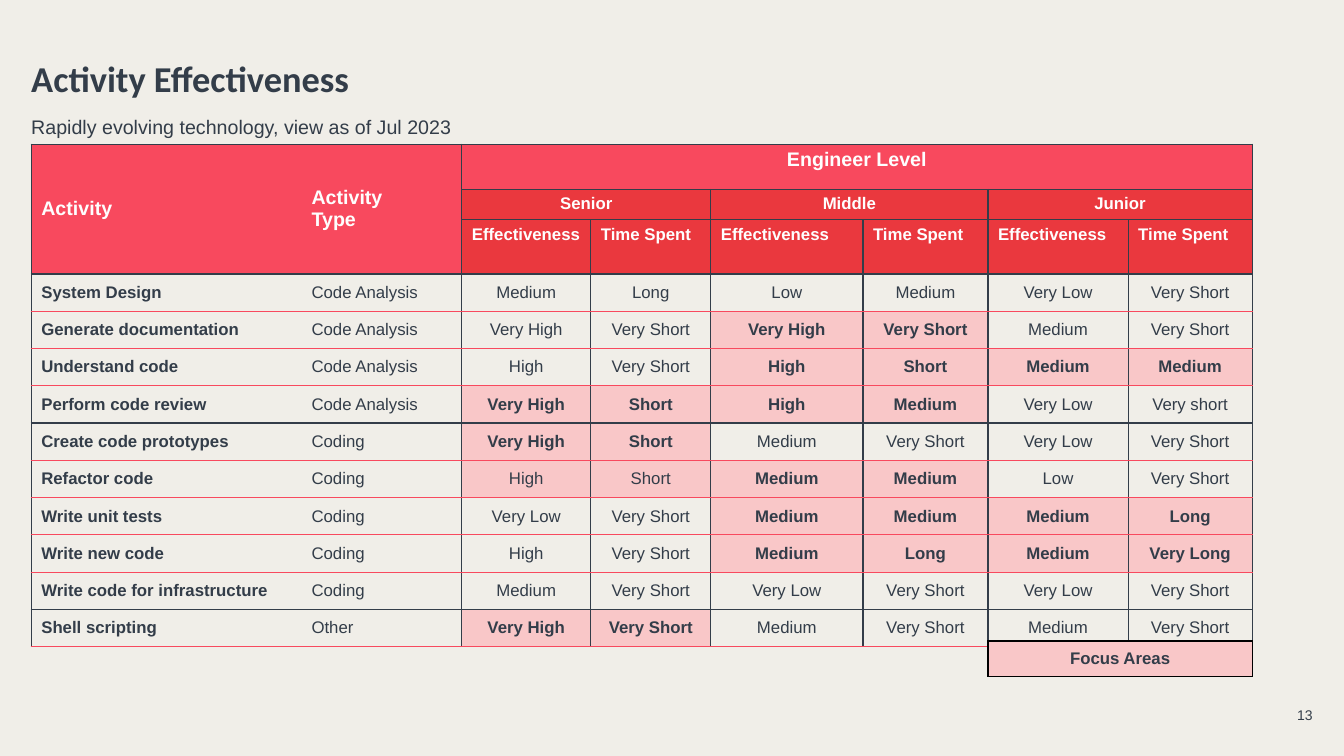
from lxml import etree
from pptx import Presentation, util as u
from pptx.dml.color import RGBColor
from pptx.enum import text
from pptx.oxml import ns

INK = RGBColor(0x33, 0x3D, 0x49)
PAPER = RGBColor(0xF0, 0xEE, 0xE8)
WHITE = RGBColor(0xFE, 0xFE, 0xFE)
CORAL = RGBColor(0xF8, 0x49, 0x5E)
RED = RGBColor(0xEA, 0x38, 0x3E)
FOCUS = RGBColor(0xF9, 0xC7, 0xC8)
BLACK = RGBColor(0, 0, 0)

LEFT = 0.31
COLUMNS = [2.68, 1.59, 1.28, 1.19, 1.51, 1.24, 1.39, 1.23]
HEADER_ROWS = [0.45, 0.3, 0.3]
BODY_ROW = 0.37
PLAIN_STYLE = "{2D5ABB26-0587-4C30-8999-92F81FD0307C}"
START = text.PP_ALIGN.LEFT
CENTER = text.PP_ALIGN.CENTER
TOP = text.MSO_ANCHOR.TOP
MIDDLE = text.MSO_ANCHOR.MIDDLE
DARK_RULES = {"Perform code review", "Write code for infrastructure"}

# "*" marks a focus cell, "+" a focus cell in regular weight
ACTIVITIES = [
    ("System Design", "Code Analysis", "Medium", "Long", "Low", "Medium", "Very Low", "Very Short"),
    ("Generate documentation", "Code Analysis", "Very High", "Very Short", "*Very High", "*Very Short",
     "Medium", "Very Short"),
    ("Understand code", "Code Analysis", "High", "Very Short", "*High", "*Short", "*Medium", "*Medium"),
    ("Perform code review", "Code Analysis", "*Very High", "*Short", "*High", "*Medium",
     "Very Low", "Very short"),
    ("Create code prototypes", "Coding", "*Very High", "*Short", "Medium", "Very Short",
     "Very Low", "Very Short"),
    ("Refactor code", "Coding", "+High", "+Short", "*Medium", "*Medium", "Low", "Very Short"),
    ("Write unit tests", "Coding", "Very Low", "Very Short", "*Medium", "*Medium", "*Medium", "*Long"),
    ("Write new code", "Coding", "High", "Very Short", "*Medium", "*Long", "*Medium", "*Very Long"),
    ("Write code for infrastructure", "Coding", "Medium", "Very Short", "Very Low", "Very Short",
     "Very Low", "Very Short"),
    ("Shell scripting", "Other", "*Very High", "*Very Short", "Medium", "Very Short",
     "Medium", "Very Short"),
]


def write(frame, lines, size, color=INK, bold=False, align=START, font="Arial"):
    """Fill a text frame with one paragraph per line."""
    for index, line in enumerate(lines):
        paragraph = frame.add_paragraph() if index else frame.paragraphs[0]
        paragraph.alignment = align
        run = paragraph.add_run()
        run.text = line
        run.font.name, run.font.size, run.font.bold = font, u.Pt(size), bold
        run.font.color.rgb = color


def place(shape, left, top, width, height, anchor, wrap=True):
    """Position a text shape and clear its margins."""
    shape.left, shape.top, shape.width, shape.height = map(u.Inches, (left, top, width, height))
    frame = shape.text_frame
    frame.margin_left = frame.margin_right = frame.margin_top = frame.margin_bottom = 0
    frame.vertical_anchor, frame.word_wrap = anchor, wrap
    frame.auto_size = text.MSO_AUTO_SIZE.NONE
    return frame


def add_label(slide, box, words, size, anchor=TOP, align=START, wrap=True):
    """Add a plain text box."""
    shape = slide.shapes.add_textbox(0, 0, 0, 0)
    write(place(shape, *box, anchor, wrap), [words], size, align=align)


def add_border(cell, edge, color, points):
    """Draw one edge of a cell: L, R, T or B."""
    line = etree.SubElement(cell._tc.get_or_add_tcPr(), ns.qn(f"a:ln{edge}"), w=str(u.Pt(points)))
    fill = etree.SubElement(line, ns.qn("a:solidFill"))
    etree.SubElement(fill, ns.qn("a:srgbClr"), val=str(color))


def format_cell(cell, lines, size, fill, borders, anchor=MIDDLE, **style):
    """Set the borders, fill and text of a cell."""
    for edge, (color, points) in borders.items():
        add_border(cell, edge, color, points)
    if fill is None:
        cell.fill.background()
    else:
        cell.fill.solid()
        cell.fill.fore_color.rgb = fill
    cell.vertical_anchor = anchor
    write(cell.text_frame, lines, size, **style)


def add_grid(slide, left, top, columns, rows):
    """Add an unstyled table with the given column widths and row heights."""
    frame = slide.shapes.add_table(len(rows), len(columns), *map(
        u.Inches, (left, top, sum(columns), sum(rows))))
    table = frame.table
    table._tbl.tblPr.find(ns.qn("a:tableStyleId")).text = PLAIN_STYLE
    table.first_row = table.horz_banding = False
    for column, width in zip(table.columns, columns):
        column.width = u.Inches(width)
    for row, height in zip(table.rows, rows):
        row.height = u.Inches(height)
    return table


def side_borders(column):
    """Return the vertical rules of a column; the first two share no rule."""
    edges = {0: "L", 1: "R"}.get(column, "LR")
    return {edge: (INK, 1) for edge in edges}


def fill_header(table):
    """Write the three header rows with their merged cells."""
    def head(row, column, lines, size, fill, rows=1, columns=1, **style):
        cell = table.cell(row, column)
        if rows * columns > 1:
            cell.merge(table.cell(row + rows - 1, column + columns - 1))
        borders = {**side_borders(column), "T": (INK, 1), "B": (INK, 1)}
        format_cell(cell, lines, size, fill, borders, color=WHITE, bold=True, **style)

    head(0, 0, ["Activity"], 14, CORAL, rows=3)
    head(0, 1, ["Activity", "Type"], 14, CORAL, rows=3)
    head(0, 2, ["Engineer Level"], 14, CORAL, columns=6, anchor=TOP, align=CENTER)
    for index, level in enumerate(["Senior", "Middle", "Junior"]):
        first = 2 + 2 * index
        head(1, first, [level], 12, RED, columns=2, anchor=TOP, align=CENTER)
        for offset, measure in enumerate(["Effectiveness", "Time Spent"]):
            head(2, first + offset, [measure], 12, RED, anchor=TOP)


def fill_body(table):
    """Write the activity rows and shade their focus cells."""
    above = (INK, 1)
    for row, activity in enumerate(ACTIVITIES, len(HEADER_ROWS)):
        below = (INK, 1) if activity[0] in DARK_RULES else (CORAL, 0.5)
        for column, value in enumerate(activity):
            borders = {**side_borders(column), "T": above, "B": below}
            fill = FOCUS if value[0] in "*+" else None
            format_cell(table.cell(row, column), [value.lstrip("*+")], 12, fill, borders,
                        bold=column == 0 or value[0] == "*",
                        align=START if column < 2 else CENTER)
        above = below


def main():
    """Build the slide and save it."""
    presentation = Presentation()
    presentation.slide_width, presentation.slide_height = u.Inches(13.33), u.Inches(7.5)
    slide = presentation.slides.add_slide(presentation.slide_layouts[5])
    slide.background.fill.solid()
    slide.background.fill.fore_color.rgb = PAPER

    title = place(slide.shapes.title, LEFT, 0.36, 11.81, 0.63, text.MSO_ANCHOR.BOTTOM)
    write(title, ["Activity Effectiveness"], 26, bold=True, font="Calibri")
    title.paragraphs[0].line_spacing = 1.05
    add_label(slide, (LEFT, 1.14, 12.7, 0.24), "Rapidly evolving technology, view as of Jul 2023", 14)

    rows = HEADER_ROWS + [BODY_ROW] * len(ACTIVITIES)
    table = add_grid(slide, LEFT, 1.43, COLUMNS, rows)
    fill_header(table)
    fill_body(table)

    junior_left = LEFT + sum(COLUMNS[:6])
    legend = add_grid(slide, junior_left, 6.36, [sum(COLUMNS[6:])], [0.35])
    format_cell(legend.cell(0, 0), ["Focus Areas"], 12, FOCUS,
                {edge: (BLACK, 1) for edge in "LRTB"}, bold=True, align=CENTER)
    add_label(slide, (12.65, 6.95, 0.37, 0.23), "13", 10, text.MSO_ANCHOR.BOTTOM,
              text.PP_ALIGN.RIGHT, wrap=False)
    presentation.save("out.pptx")


if __name__ == "__main__":
    main()
